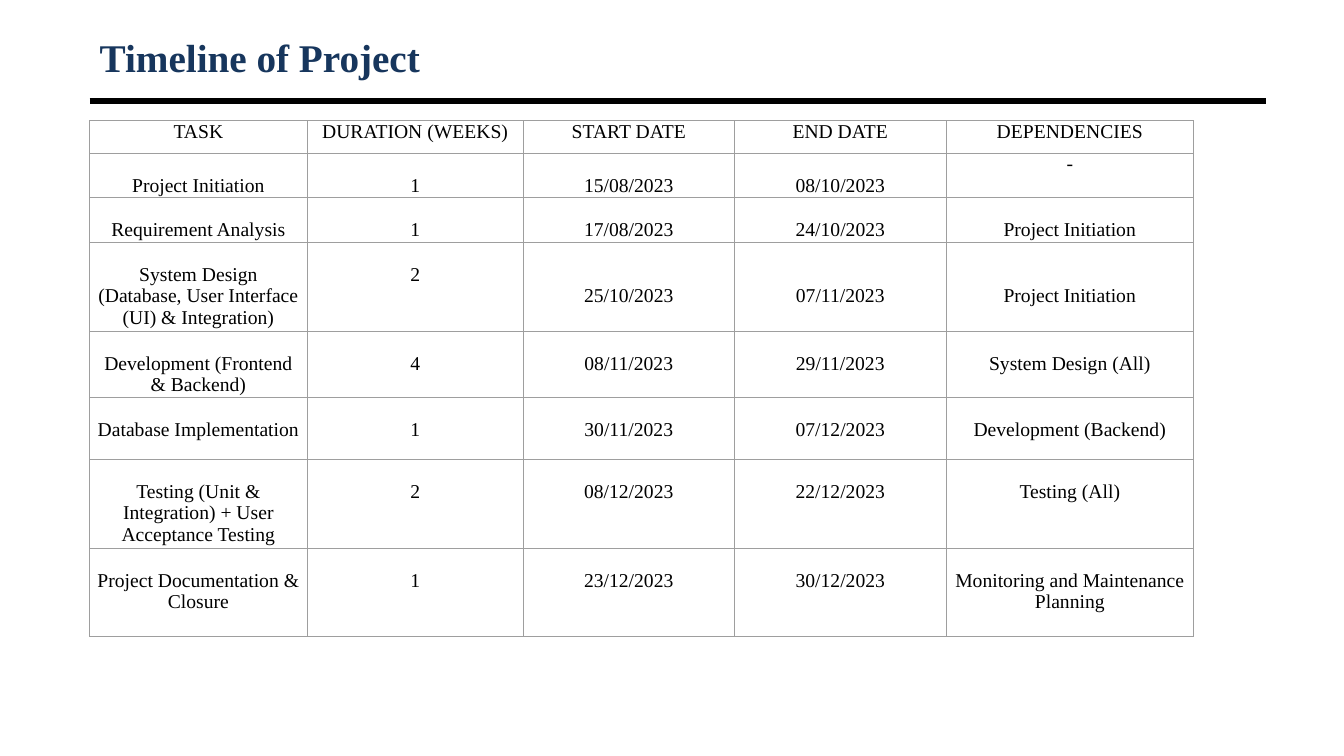
from pptx import Presentation
from pptx.dml.color import RGBColor
from pptx.enum.shapes import MSO_CONNECTOR as Connector
from pptx.enum.text import MSO_ANCHOR as Anchor, PP_ALIGN as Align
from pptx.oxml.ns import qn
from pptx.util import Pt
from lxml.etree import SubElement

# Content
TITLE = "Timeline of Project"
HEADERS = ("TASK", "DURATION (WEEKS)", "START DATE", "END DATE", "DEPENDENCIES")
TASKS = [
    ("Project Initiation", "1", "15/08/2023", "08/10/2023", "-"),
    ("Requirement Analysis", "1", "17/08/2023", "24/10/2023", "Project Initiation"),
    ("System Design (Database, User Interface (UI) & Integration)", "2",
     "25/10/2023", "07/11/2023", "Project Initiation"),
    ("Development (Frontend & Backend)", "4", "08/11/2023", "29/11/2023",
     "System Design (All)"),
    ("Database Implementation", "1", "30/11/2023", "07/12/2023",
     "Development (Backend)"),
    ("Testing (Unit & Integration) + User Acceptance Testing", "2",
     "08/12/2023", "22/12/2023", "Testing (All)"),
    ("Project Documentation & Closure", "1", "23/12/2023", "30/12/2023",
     "Monitoring and Maintenance Planning"),
]

# Measures in points
FONT = "Times New Roman"
LEFT, RIGHT = 64, 904.3
TABLE_TOP = 86.2
COLUMN_WIDTHS = (155.5, 154.2, 151, 151.2, 176.8)
ROW_HEIGHTS = (23.4, 31.7, 31.7, 63.5, 47.5, 44, 63.5, 63.5)
LINE_HEIGHT = 15.5
DESIGN_ROW = 3


def color(value):
    return RGBColor.from_string(value)


def style(para, size, value, align, bold=False):
    para.alignment = align
    for span in para.runs:
        span.font.name = FONT
        span.font.size = Pt(size)
        span.font.bold = bold
        span.font.color.rgb = color(value)


def lines_above(row, column, text):
    """How many lines the text sits below the top of its cell."""
    if row == 0 or text == "-":
        return 0
    return 2 if row == DESIGN_ROW and column >= 2 else 1


def add_borders(cell, value, width):
    properties = cell._tc.get_or_add_tcPr()
    for position, side in enumerate(("a:lnL", "a:lnR", "a:lnT", "a:lnB")):
        line = SubElement(properties, qn(side), w=str(Pt(width)))
        fill = SubElement(line, qn("a:solidFill"))
        SubElement(fill, qn("a:srgbClr"), val=value)
        properties.insert(position, line)


deck = Presentation()
deck.slide_width, deck.slide_height = Pt(960), Pt(540)
page = deck.slides.add_slide(deck.slide_layouts[5])

# Title
title = page.shapes.title
title.left, title.top = Pt(LEFT), Pt(21.6)
title.width, title.height = Pt(RIGHT - LEFT), Pt(38.2)
title.text_frame.text = TITLE
title.text_frame.vertical_anchor = Anchor.MIDDLE
style(title.text_frame.paragraphs[0], 28, "17365D", Align.LEFT, bold=True)

# Rule under the title
rule = page.shapes.add_connector(Connector.STRAIGHT, Pt(LEFT), Pt(72), Pt(RIGHT), Pt(72))
rule.line.color.rgb = color("000000")
rule.line.width = Pt(4.5)
SubElement(rule._element.spPr, qn("a:effectLst"))

# Timeline table
rows = [HEADERS] + TASKS
table = page.shapes.add_table(
    len(rows), len(HEADERS), Pt(LEFT), Pt(TABLE_TOP),
    Pt(sum(COLUMN_WIDTHS)), Pt(sum(ROW_HEIGHTS))).table
table.first_row = table.horz_banding = False
for column, width in zip(table.columns, COLUMN_WIDTHS):
    column.width = Pt(width)
for row, height in zip(table.rows, ROW_HEIGHTS):
    row.height = Pt(height)

for r, texts in enumerate(rows):
    for c, text in enumerate(texts):
        cell = table.cell(r, c)
        cell.text_frame.text = text
        cell.fill.background()
        cell.vertical_anchor = Anchor.TOP
        cell.margin_left = cell.margin_right = Pt(4.5)
        cell.margin_top = Pt(LINE_HEIGHT * lines_above(r, c, text))
        cell.margin_bottom = Pt(0)
        style(cell.text_frame.paragraphs[0], 14, "000000", Align.CENTER)
        add_borders(cell, "9E9E9E", 0.75)

deck.save("out.pptx")
